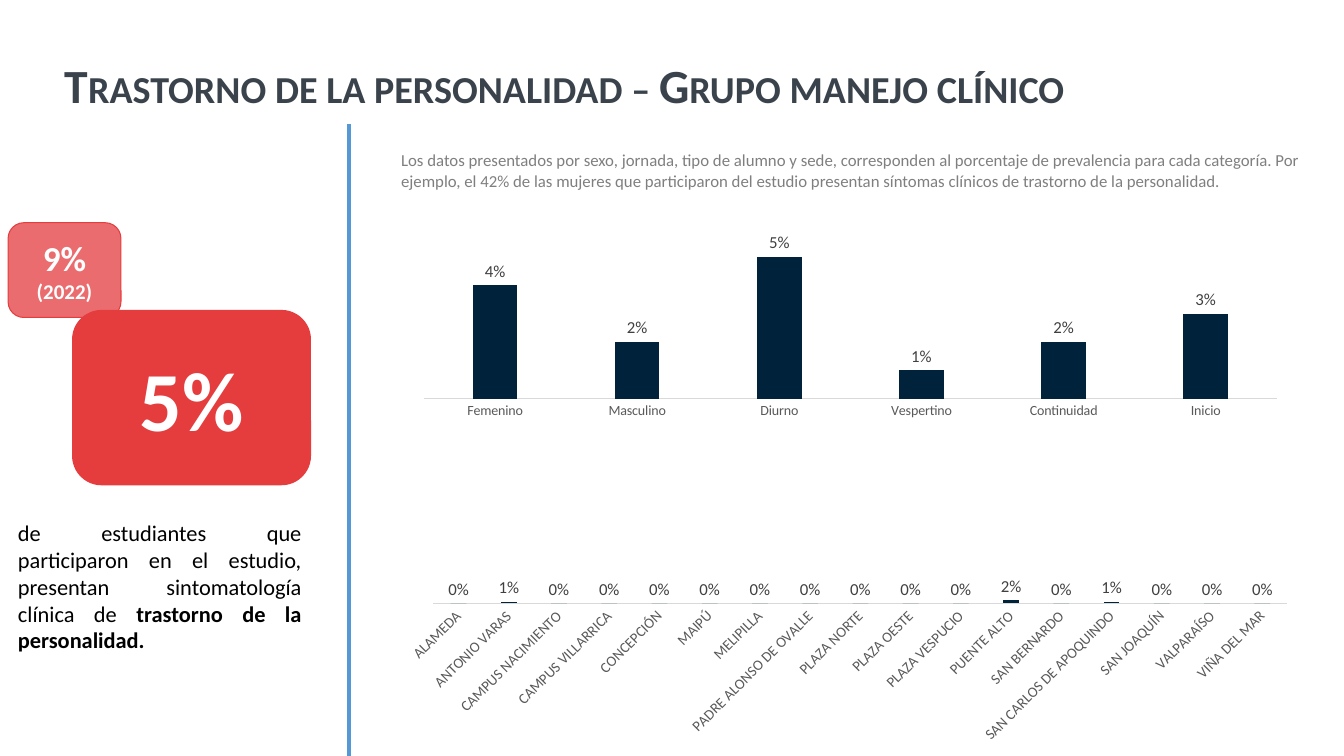
from dataclasses import dataclass
from typing import Optional

from lxml import etree
from pptx import Presentation
from pptx.chart import data as chart_data
from pptx.dml.color import RGBColor
from pptx.enum import chart as ch, shapes, text
from pptx.oxml import ns
from pptx.util import Inches, Pt

FONT = "Calibri"
SLATE = RGBColor(0x3A, 0x43, 0x4C)
NAVY = RGBColor(0x00, 0x22, 0x3A)
RED = RGBColor(0xE5, 0x3C, 0x3E)
BLUE = RGBColor(0x56, 0x98, 0xD3)
WHITE = RGBColor(0xFF, 0xFF, 0xFF)
BLACK = RGBColor(0, 0, 0)
NOTE_GRAY = RGBColor(0x7F, 0x7F, 0x7F)
AXIS_GRAY = RGBColor(0x59, 0x59, 0x59)
LABEL_GRAY = RGBColor(0x40, 0x40, 0x40)
RULE_GRAY = RGBColor(0xD9, 0xD9, 0xD9)


@dataclass
class Box:
    left: float
    top: float
    width: float
    height: float

    def lengths(self):
        return [Inches(n) for n in (self.left, self.top, self.width, self.height)]


@dataclass
class Prevalence:
    box: Box
    percents: dict[str, int]
    axis_max: float
    axis_size: float
    label_angle: Optional[int] = None


@dataclass
class Badge:
    box: Box
    lines: list[tuple[str, float]]
    opacity: Optional[int] = None


CAMPUSES = [
    "ALAMEDA", "ANTONIO VARAS", "CAMPUS NACIMIENTO", "CAMPUS VILLARRICA",
    "CONCEPCIÓN", "MAIPÚ", "MELIPILLA", "PADRE ALONSO DE OVALLE",
    "PLAZA NORTE", "PLAZA OESTE", "PLAZA VESPUCIO", "PUENTE ALTO",
    "SAN BERNARDO", "SAN CARLOS DE APOQUINDO", "SAN JOAQUÍN",
    "VALPARAÍSO", "VIÑA DEL MAR",
]
CAMPUS_PERCENTS = dict.fromkeys(CAMPUSES, 0) | {
    "ANTONIO VARAS": 1, "PUENTE ALTO": 2, "SAN CARLOS DE APOQUINDO": 1,
}
GROUP_PERCENTS = {
    "Femenino": 4, "Masculino": 2, "Diurno": 5,
    "Vespertino": 1, "Continuidad": 2, "Inicio": 3,
}
CHARTS = [
    Prevalence(Box(3.88, 4.48, 9.07, 2.96), CAMPUS_PERCENTS, 0.9, 10.5, -45),
    Prevalence(Box(4.03, 2.23, 8.81, 1.96), GROUP_PERCENTS, 0.06, 10),
]
BADGES = [
    Badge(Box(0.72, 3.08, 2.36, 1.73), [("5%", 60)]),
    Badge(Box(0.08, 2.21, 1.12, 0.94), [("9%", 25), ("(2022)", 15)], 75),
]


def style(font, size: float, color: RGBColor, bold: bool = False) -> None:
    font.name = FONT
    font.size = Pt(size)
    font.bold = bold
    font.color.rgb = color


def add_title(slide, box: Box, wording: str) -> None:
    title = slide.shapes.title
    title.left, title.top, title.width, title.height = box.lengths()
    frame = title.text_frame
    frame.word_wrap = True
    frame.auto_size = text.MSO_AUTO_SIZE.NONE
    frame.vertical_anchor = text.MSO_ANCHOR.MIDDLE
    heading = frame.paragraphs[0]
    heading.alignment = text.PP_ALIGN.LEFT
    heading.line_spacing = 0.9
    run = heading.add_run()
    run.text = wording
    style(run.font, 34, SLATE, True)
    run._r.get_or_add_rPr().set("cap", "small")


def add_text(slide, box: Box, size: float, color: RGBColor,
             align: text.PP_ALIGN, plain: str, strong: str = "") -> None:
    frame = slide.shapes.add_textbox(*box.lengths()).text_frame
    frame.word_wrap = True
    frame.auto_size = text.MSO_AUTO_SIZE.SHAPE_TO_FIT_TEXT
    paragraph = frame.paragraphs[0]
    paragraph.alignment = align
    style(paragraph.font, size, color)
    paragraph.add_run().text = plain
    if strong:
        ending = paragraph.add_run()
        ending.text = strong
        ending.font.bold = True


def add_prevalence(slide, item: Prevalence) -> None:
    values = chart_data.CategoryChartData(number_format="0%")
    values.categories = list(item.percents)
    values.add_series("Series 1", [n / 100 for n in item.percents.values()])
    chart = slide.shapes.add_chart(
        ch.XL_CHART_TYPE.COLUMN_CLUSTERED, *item.box.lengths(), values).chart
    chart.has_legend = False
    chart.has_title = False
    style(chart.font, 10, BLACK)

    scale = chart.value_axis
    scale.minimum_scale = 0
    scale.maximum_scale = item.axis_max
    scale.has_major_gridlines = False
    scale.visible = False

    categories = chart.category_axis
    categories.major_tick_mark = ch.XL_TICK_MARK.NONE
    categories.format.line.color.rgb = RULE_GRAY
    categories.format.line.width = Pt(0.75)
    style(categories.tick_labels.font, item.axis_size, AXIS_GRAY)
    if item.label_angle is not None:
        body = categories._element.find(ns.qn("c:txPr")).find(ns.qn("a:bodyPr"))
        body.set("rot", str(item.label_angle * 60000))
        body.set("vert", "horz")

    plot = chart.plots[0]
    plot.gap_width = 219
    plot.overlap = -27
    plot.vary_by_categories = False
    columns = plot.series[0]
    columns.format.fill.solid()
    columns.format.fill.fore_color.rgb = NAVY
    labels = columns.data_labels
    labels.show_value = True
    labels.position = ch.XL_LABEL_POSITION.OUTSIDE_END
    labels.number_format = "0%"
    labels.number_format_is_linked = False
    style(labels.font, 12, LABEL_GRAY)


def add_divider(slide, x: float, top: float, bottom: float) -> None:
    divider = slide.shapes.add_connector(
        shapes.MSO_CONNECTOR.STRAIGHT,
        Inches(x), Inches(top), Inches(x), Inches(bottom))
    divider.line.color.rgb = BLUE
    divider.line.width = Pt(3)
    etree.SubElement(divider._element.spPr, ns.qn("a:effectLst"))


def add_badge(slide, item: Badge) -> None:
    badge = slide.shapes.add_shape(
        shapes.MSO_SHAPE.ROUNDED_RECTANGLE, *item.box.lengths())
    badge.shadow.inherit = False
    badge.fill.solid()
    badge.fill.fore_color.rgb = RED
    badge.line.color.rgb = RED
    badge.line.width = Pt(0.75)
    if item.opacity is not None:
        color = badge._element.spPr.find(ns.qn("a:solidFill"))[0]
        etree.SubElement(color, ns.qn("a:alpha")).set("val", str(item.opacity * 1000))
    frame = badge.text_frame
    frame.word_wrap = True
    frame.vertical_anchor = text.MSO_ANCHOR.MIDDLE
    for index, (wording, size) in enumerate(item.lines):
        line = frame.add_paragraph() if index else frame.paragraphs[0]
        line.text = wording
        line.alignment = text.PP_ALIGN.CENTER
        style(line.font, size, WHITE, True)


def main() -> None:
    deck = Presentation()
    deck.slide_width, deck.slide_height = Inches(13.33), Inches(7.5)
    slide = deck.slides.add_slide(deck.slide_layouts[5])
    add_title(slide, Box(0.54, 0.4, 12.73, 0.94),
              "Trastorno de la personalidad – Grupo manejo clínico")
    for item in CHARTS:
        add_prevalence(slide, item)
    add_text(slide, Box(3.88, 1.44, 9.26, 0.5), 12, NOTE_GRAY, text.PP_ALIGN.LEFT,
             "Los datos presentados por sexo, jornada, tipo de alumno y sede, "
             "corresponden al porcentaje de prevalencia para cada categoría. "
             "Por ejemplo, el 42% de las mujeres que participaron del estudio "
             "presentan síntomas clínicos de trastorno de la personalidad.")
    add_divider(slide, 3.46, 1.23, 7.5)
    add_text(slide, Box(0.08, 5.1, 3.01, 1.45), 16, BLACK, text.PP_ALIGN.JUSTIFY,
             "de estudiantes que participaron en el estudio, presentan "
             "sintomatología clínica de ", "trastorno de la personalidad.")
    for item in BADGES:
        add_badge(slide, item)
    deck.save("out.pptx")


if __name__ == "__main__":
    main()
